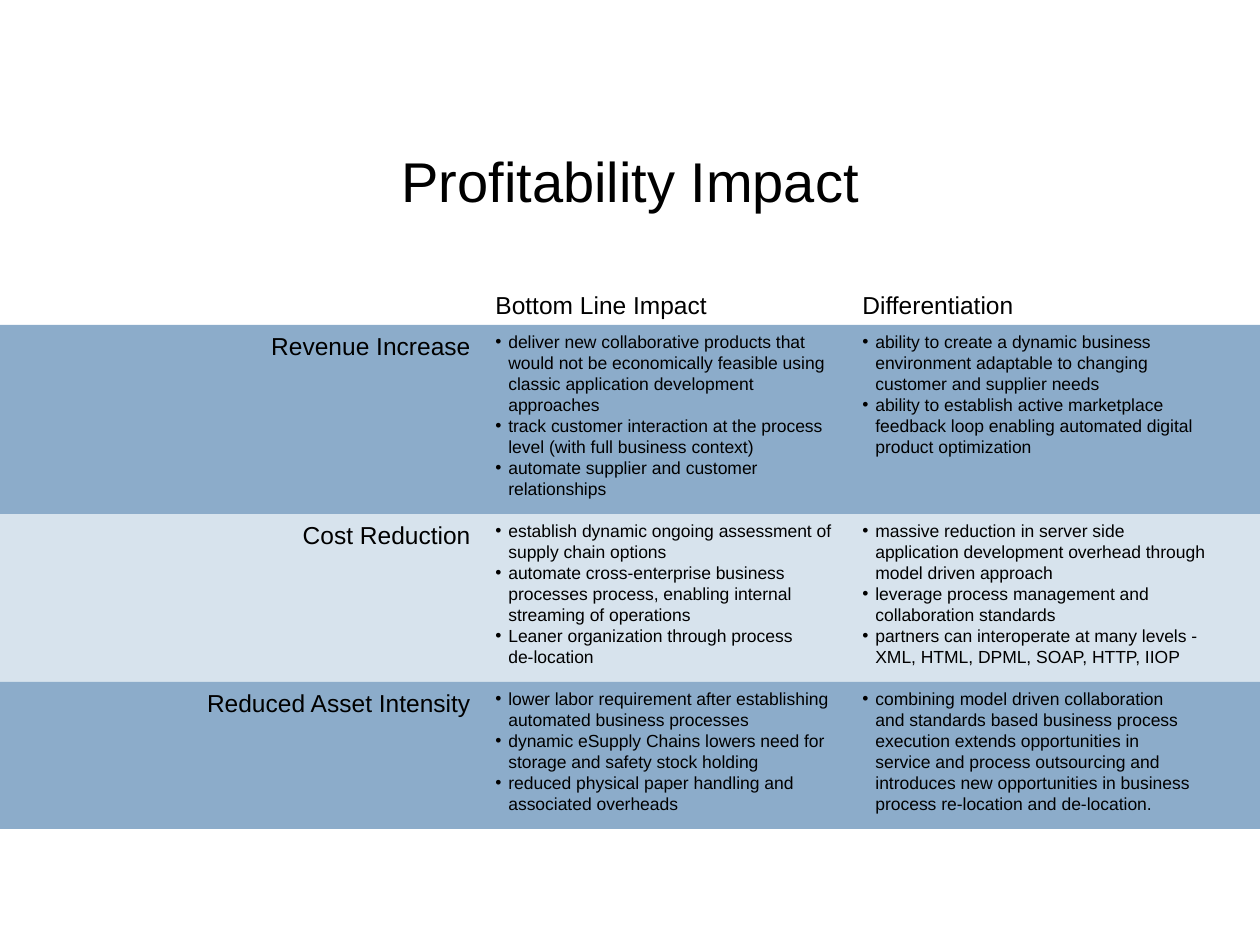
from lxml.etree import SubElement
from pptx import Presentation
from pptx.dml.color import RGBColor
from pptx.enum.shapes import MSO_SHAPE as SHAPE
from pptx.enum.text import MSO_ANCHOR as ANCHOR, MSO_AUTO_SIZE as AUTO, PP_ALIGN as ALIGN
from pptx.oxml.ns import qn
from pptx.util import Pt

PX = 914400 / 126
WIDTH, HEIGHT = 1260, 945
LABEL_X, IMPACT_X, DIFF_X = 158, 483, 850
LABEL_W, IMPACT_W = 325, 368
ROWS_TOP = 325
BLUE, PALE, BLACK = "8CACCA", "D7E3ED", "000000"
HEADERS = [(IMPACT_X, 346, "Bottom Line Impact"), (DIFF_X, 357, "Differentiation")]
ROWS = [
    dict(label="Revenue Increase", height=189, fill=BLUE, diff_size=(378, 139), impact=[
        "deliver new collaborative products that would not be economically feasible "
        "using classic application development approaches",
        "track customer interaction at the process level (with full business context)",
        "automate supplier and customer relationships",
    ], diff=[
        "ability to create a dynamic business environment adaptable to changing "
        "customer and supplier needs",
        "ability to establish active marketplace feedback loop enabling automated "
        "digital product optimization",
    ]),
    dict(label="Cost Reduction", height=168, fill=PALE, diff_size=(368, 160), impact=[
        "establish dynamic ongoing assessment of supply chain options",
        "automate cross-enterprise business processes process, enabling internal "
        "streaming of operations",
        "Leaner organization through process \nde-location",
    ], diff=[
        "massive reduction in server side application development overhead through "
        "model driven approach",
        "leverage process management and collaboration standards",
        "partners can interoperate at many levels - XML, HTML, DPML, SOAP, HTTP, IIOP",
    ]),
    dict(label="Reduced Asset Intensity", height=147, fill=BLUE, diff_size=(357, 139), impact=[
        "lower labor requirement after establishing automated business processes",
        "dynamic eSupply Chains lowers need for storage and safety stock holding",
        "reduced physical paper handling and associated overheads",
    ], diff=[
        "combining model driven collaboration and standards based business process "
        "execution extends opportunities in service and process outsourcing and "
        "introduces new opportunities in business process re-location and de-location.",
    ]),
]


def px(n):
    """Turn pixels into EMU."""
    return round(n * PX)


def color(value):
    """Turn a hex string into a colour."""
    return RGBColor.from_string(value)


def set_attrs(obj, **values):
    """Set each named attribute of an object."""
    for name, value in values.items():
        setattr(obj, name, value)


def add_bullet(p):
    """Give a paragraph a black bullet with a hanging indent."""
    pPr = p._p.get_or_add_pPr()
    pPr.set("marL", str(px(13)))
    pPr.set("indent", str(px(-13)))
    SubElement(SubElement(pPr, qn("a:buClr")), qn("a:srgbClr"), val=BLACK)
    SubElement(pPr, qn("a:buFont"), typeface="Arial")
    SubElement(pPr, qn("a:buChar"), char="•")


def write(tf, texts, size, align=ALIGN.LEFT, anchor=ANCHOR.TOP, auto=AUTO.NONE, bullets=False):
    """Fill a text frame with one paragraph per text."""
    set_attrs(tf, word_wrap=True, auto_size=auto, vertical_anchor=anchor)
    for i, text in enumerate(texts):
        p = tf.add_paragraph() if i else tf.paragraphs[0]
        set_attrs(p, text=text, alignment=align)
        if bullets:
            add_bullet(p)
        for r in p.runs:
            set_attrs(r.font, name="Arial", size=Pt(size))
            r.font.color.rgb = color(BLACK)


def add_text(s, x, y, w, h, texts, size, **style):
    """Add a wrapping text box."""
    sp = s.shapes.add_textbox(px(x), px(y), px(w), px(h))
    write(sp.text_frame, texts, size, **style)


def add_band(s, y, h, fill):
    """Add a full-width band without an outline."""
    sp = s.shapes.add_shape(SHAPE.RECTANGLE, 0, px(y), px(WIDTH), px(h))
    sp.shadow.inherit = False
    sp.fill.solid()
    sp.fill.fore_color.rgb = color(fill)
    sp.line.fill.background()


def add_row(s, y, row):
    """Add a band with its label and two bullet lists."""
    h = row["height"]
    add_band(s, y, h, row["fill"])
    add_text(s, LABEL_X, y, LABEL_W, 43, [row["label"]], 14,
             align=ALIGN.RIGHT, auto=AUTO.SHAPE_TO_FIT_TEXT)
    lists = [(IMPACT_X, (IMPACT_W, h - 8), row["impact"]),
             (DIFF_X, row["diff_size"], row["diff"])]
    for x, size, texts in lists:
        add_text(s, x, y, *size, texts, 10, auto=AUTO.SHAPE_TO_FIT_TEXT, bullets=True)


def add_title(s, text):
    """Place and format the title placeholder."""
    title = s.shapes.title
    set_attrs(title, left=px(95), top=px(63), width=px(1071), height=px(157))
    write(title.text_frame, [text], 32, align=ALIGN.CENTER, anchor=ANCHOR.BOTTOM)


def main():
    """Build the slide and save it."""
    prs = Presentation()
    set_attrs(prs, slide_width=px(WIDTH), slide_height=px(HEIGHT))
    s = prs.slides.add_slide(prs.slide_layouts[5])
    add_title(s, "Profitability Impact")
    y = ROWS_TOP
    for row in ROWS:
        add_row(s, y, row)
        y += row["height"]
    for x, w, text in HEADERS:
        add_text(s, x, 254, w, 72, [text], 14, anchor=ANCHOR.BOTTOM)
    prs.save("out.pptx")


if __name__ == "__main__":
    main()
